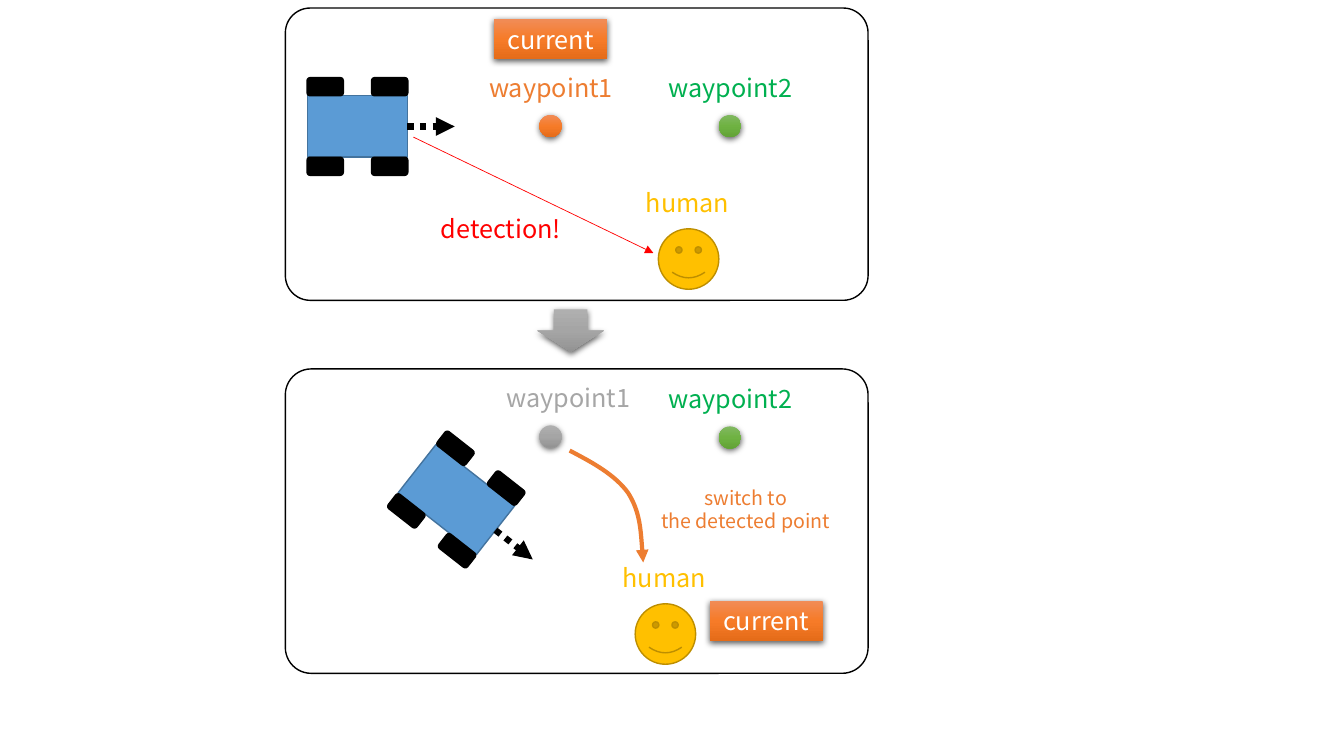
"""Build the slide on switching a robot's waypoint to a detected human."""
from math import cos, radians, sin
from lxml import etree
from pptx import Presentation
from pptx.dml.color import RGBColor
from pptx.enum import dml, shapes, text
from pptx.oxml import ns, parse_xml
from pptx.util import Inches, Pt

HUES = {"black": "000000", "white": "FFFFFF", "blue": "5B9BD5", "navy": "43739E",
        "orange": "ED7D31", "green": "00B050", "gray": "A6A6A6", "gold": "FFC000",
        "brown": "BD8E00", "red": "FF0000"}
FADES = {"orange": ("F18C57", "F67B28", "E56C19"),
         "green": ("81B861", "6FB242", "62A336"),
         "gray": ("AFAFAF", "A5A5A5", "939393")}
FONT = "Noto Sans CJK JP"
KIND = shapes.MSO_SHAPE
RGB = {name: RGBColor.from_string(code) for name, code in HUES.items()}

deck = Presentation()
deck.slide_width, deck.slide_height = Inches(13.33), Inches(7.5)
slide = deck.slides.add_slide(deck.slide_layouts[6])
items = slide.shapes


def draw(kind, box, fill=None, edge=None, turn=0):
    """Add a shape; without an edge it gets a shaded fill and a shadow."""
    shape = items.add_shape(kind, *map(Inches, box))
    shape.rotation = turn
    shape.shadow.inherit = False
    if edge:
        shape.line.color.rgb = RGB[edge]
        shape.line.width = Pt(1)
        if fill:
            shape.fill.solid()
            shape.fill.fore_color.rgb = RGB[fill]
        else:
            shape.fill.background()
        return shape
    shape.line.fill.background()
    stops = "".join(f'<a:gs pos="{pos}"><a:srgbClr val="{hue}"/></a:gs>'
                    for pos, hue in zip((0, 50000, 100000), FADES[fill]))
    props = shape.element.spPr
    props.insert(2, parse_xml(
        f'<a:gradFill {ns.nsdecls("a")} rotWithShape="1"><a:gsLst>{stops}</a:gsLst>'
        '<a:lin ang="5400000" scaled="0"/></a:gradFill>'))
    props.find(ns.qn("a:effectLst")).append(parse_xml(
        f'<a:outerShdw {ns.nsdecls("a")} blurRad="{Pt(4.5)}" dist="{Pt(1.5)}" '
        'dir="5400000" algn="ctr" rotWithShape="0"><a:srgbClr val="000000">'
        '<a:alpha val="63000"/></a:srgbClr></a:outerShdw>'))
    return shape


def finish(stroke, hue, width):
    """Style a line, put an arrowhead at its end and drop its shadow."""
    stroke.line.color.rgb = RGB[hue]
    stroke.line.width = Pt(width)
    etree.SubElement(stroke.line._get_or_add_ln(), ns.qn("a:tailEnd"), type="triangle")
    etree.SubElement(stroke.element.spPr, ns.qn("a:effectLst"))


for top, high in ((0.08, 2.9), (3.66, 3.02)):
    panel = draw(KIND.ROUNDED_RECTANGLE, (2.83, top, 5.78, high), edge="black")
    panel.adjustments[0] = 0.085

for midx, midy, tilt in ((3.545, 1.255, 0), (4.525, 4.955, 38.1)):
    c, s = cos(radians(tilt)), sin(radians(tilt))
    body = draw(KIND.RECTANGLE, (midx - 0.305, midy - 0.495, 0.61, 0.99),
                "blue", "navy", 90 + tilt)
    for dx in (-0.32, 0.32):
        for dy in (-0.395, 0.395):
            x, y = midx + dx * c - dy * s, midy + dx * s + dy * c
            draw(KIND.ROUNDED_RECTANGLE, (x - 0.09, y - 0.18, 0.18, 0.36),
                 "black", "black", 90 + tilt)
    x1, y1, x2, y2 = [Inches(v) for r in (0.495, 0.965)
                      for v in (midx + r * c, midy + r * s)]
    course = items.add_connector(shapes.MSO_CONNECTOR.STRAIGHT, x1, y1, x2, y2)
    course.begin_connect(body, 0)
    course.begin_x, course.begin_y = x1, y1
    course.line.dash_style = dml.MSO_LINE.ROUND_DOT
    finish(course, "black", 4.5)

for left, top, hue in ((5.35, 1.14, "orange"), (7.13, 1.14, "green"),
                       (5.35, 4.22, "gray"), (7.13, 4.23, "green")):
    draw(KIND.OVAL, (left, top, 0.22, 0.22), hue)

draw(KIND.DOWN_ARROW, (5.33, 3.07, 0.66, 0.42), "gray")
for left, top in ((6.53, 2.27), (6.3, 5.99)):
    draw(KIND.SMILEY_FACE, (left, top, 0.6, 0.6), "gold", "brown")

sight = items.add_connector(shapes.MSO_CONNECTOR.STRAIGHT,
                            *map(Inches, (4.1, 1.36, 6.48, 2.51)))
finish(sight, "red", 0.5)

bends = [(5.65, 4.47), (5.88, 4.59), (6.1, 4.71), (6.23, 4.89),
         (6.35, 5.08), (6.36, 5.33), (6.38, 5.58)]
pen = items.build_freeform(*map(Inches, bends[0]), scale=1.0)
pen.add_line_segments([tuple(map(Inches, p)) for p in bends[1:]], close=False)
switch = pen.convert_to_shape()
switch.fill.background()
track = switch.element.spPr.find(".//" + ns.qn("a:path"))
legs = track.findall(ns.qn("a:lnTo"))
for start in (0, 3):
    curve = etree.SubElement(track, ns.qn("a:cubicBezTo"))
    for leg in legs[start:start + 3]:
        curve.append(leg[0])
        track.remove(leg)
finish(switch, "orange", 3)

labels = [("waypoint1", (4.7, 0.67, 1.53, 0.4), "orange", 18),
          ("waypoint2", (6.48, 0.67, 1.53, 0.4), "green", 18),
          ("waypoint1", (4.87, 3.74, 1.53, 0.4), "gray", 18),
          ("waypoint2", (6.48, 3.75, 1.53, 0.4), "green", 18),
          ("human", (6.25, 1.81, 1.14, 0.4), "gold", 18),
          ("human", (6.02, 5.53, 1.14, 0.4), "gold", 18),
          ("detection!", (4.22, 2.07, 1.5, 0.4), "red", 18),
          ("switch to\nthe detected point", (6.32, 4.77, 2.15, 0.57), "orange", 14),
          ("current", (4.9, 0.19, 1.12, 0.4), "white", 18),
          ("current", (7.04, 5.96, 1.12, 0.4), "white", 18)]
for words, box, hue, size in labels:
    if words == "current":
        label = draw(KIND.RECTANGLE, box, "orange")
    else:
        label = items.add_textbox(*map(Inches, box))
    frame = label.text_frame
    frame.text = words
    frame.word_wrap = True
    frame.auto_size = text.MSO_AUTO_SIZE.SHAPE_TO_FIT_TEXT
    for para in frame.paragraphs:
        para.alignment = text.PP_ALIGN.CENTER
        para.font.name = FONT
        para.font.size = Pt(size)
        para.font.color.rgb = RGB[hue]

deck.save("out.pptx")
